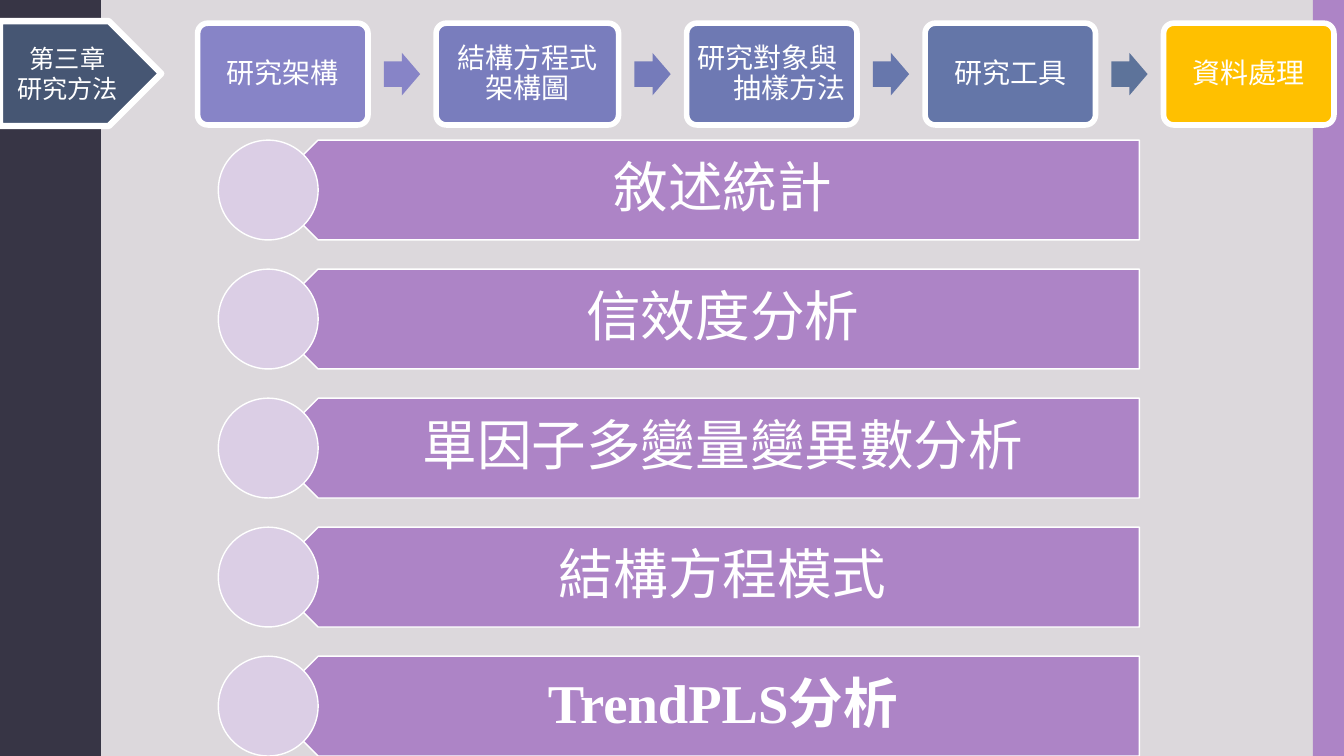
from lxml import etree
from pptx import Presentation
from pptx.dml.color import RGBColor
from pptx.enum.shapes import MSO_SHAPE
from pptx.enum.text import MSO_ANCHOR, PP_ALIGN
from pptx.oxml.ns import qn
from pptx.util import Inches, Pt

PENTAGON, RECT, ELLIPSE = MSO_SHAPE.PENTAGON, MSO_SHAPE.RECTANGLE, MSO_SHAPE.OVAL
ROUNDED, ARROW = MSO_SHAPE.ROUNDED_RECTANGLE, MSO_SHAPE.RIGHT_ARROW
LEFT, CENTER, RIGHT = PP_ALIGN.LEFT, PP_ALIGN.CENTER, PP_ALIGN.RIGHT
MIDDLE = MSO_ANCHOR.MIDDLE

WHITE = RGBColor(0xFF, 0xFF, 0xFF)
BACKGROUND = RGBColor(0xDC, 0xD8, 0xDC)
DARK = RGBColor(0x37, 0x35, 0x45)
PURPLE = RGBColor(0xAD, 0x84, 0xC6)
PALE_PURPLE = RGBColor(0xDB, 0xCE, 0xE5)
SLATE = RGBColor(0x46, 0x56, 0x73)
CJK, SERIF = "Noto Sans CJK SC", "Times New Roman"

# Paragraphs are (alignment, runs); runs are (text, font, bold).
CHAPTER = [(CENTER, [("第三章", CJK, False)]), (CENTER, [("研究方法", CJK, False)])]

# Step: paragraphs, width, box colour, colour of the arrow that follows
STEPS = [
    ([(CENTER, [("研究架構", CJK, False)])], 1.69, "8784C7", "8784C7"),
    ([(CENTER, [("結構方程式架構圖", CJK, False)])], 1.81, "797DBD", "757BBA"),
    ([(LEFT, [("研究對象與", CJK, False)]), (RIGHT, [("抽樣方法", CJK, False)])],
     1.69, "6E79B3", "6777AC"),
    ([(CENTER, [("研究工具", CJK, False)])], 1.69, "6476A8", "5D739A"),
    ([(CENTER, [("資料處理", CJK, False)])], 1.69, "FFC000", None),
]
ANALYSES = [
    [("敘述統計", CJK, False)],
    [("信效度分析", CJK, False)],
    [("單因子多變量變異數分析", CJK, False)],
    [("結構方程模式", CJK, False)],
    [("TrendPLS", SERIF, True), ("分析", CJK, True)],
]

# Rising half of one wave on the left edge, as (x, y)
WAVE_RISE = [(0.78, 0), (0.78, 0.07), (0.79, 0.14), (0.8, 0.2), (0.81, 0.25),
             (0.83, 0.29), (0.85, 0.33), (0.87, 0.38), (0.89, 0.42), (0.91, 0.46),
             (0.93, 0.5), (0.95, 0.55), (0.96, 0.61), (0.97, 0.68), (0.97, 0.75)]
WAVE_LENGTH, WAVE_COUNT = 1.5, 5

SLIDE_W, SLIDE_H = 13.33, 7.5
STEPS_LEFT, STEPS_RIGHT, STEP_TOP, STEP_H = 1.96, 13.23, 0.23, 1.01
ARROW_W, ARROW_H = 0.36, 0.42
BAR_LEFT, BAR_W, BAR_TOP, BAR_H, BAR_PITCH = 2.66, 8.64, 1.39, 0.99, 1.28

prs = Presentation()
prs.slide_width, prs.slide_height = Inches(SLIDE_W), Inches(SLIDE_H)
slide = prs.slides.add_slide(prs.slide_layouts[6])
slide.background.fill.solid()
slide.background.fill.fore_color.rgb = BACKGROUND


def paint(shape, color, line_width=0):
    shape.shadow.inherit = False
    shape.fill.solid()
    shape.fill.fore_color.rgb = color
    if line_width:
        shape.line.color.rgb = WHITE
        shape.line.width = Pt(line_width)
    else:
        shape.line.fill.background()


def add_block(kind, left, top, width, height, color, line_width=0):
    block = slide.shapes.add_shape(
        kind, Inches(left), Inches(top), Inches(width), Inches(height))
    paint(block, color, line_width)
    return block


def write(shape, paragraphs, size, insets=None, line_spacing=1.0):
    """Fill a shape with white text; insets are left, top, right, bottom."""
    frame = shape.text_frame
    frame.word_wrap = True
    frame.vertical_anchor = MIDDLE
    if insets:
        for side, inset in zip(("left", "top", "right", "bottom"), insets):
            setattr(frame, f"margin_{side}", Inches(inset))
    for i, (alignment, runs) in enumerate(paragraphs):
        paragraph = frame.add_paragraph() if i else frame.paragraphs[0]
        paragraph.alignment = alignment
        paragraph.line_spacing = line_spacing
        for text, typeface, bold in runs:
            run = paragraph.add_run()
            run.text = text
            font_format = {"name": typeface, "size": Pt(size), "bold": bold}
            for key, value in font_format.items():
                setattr(run.font, key, value)
            run.font.color.rgb = WHITE
            east_asian = etree.SubElement(run.font._element, qn("a:ea"))
            east_asian.set("typeface", typeface)


def add_wavy_edge():
    wave_fall = [(x, WAVE_LENGTH - y) for x, y in WAVE_RISE[-2::-1]]
    wave = WAVE_RISE + wave_fall[:-1]
    edge = [(x, y + n * WAVE_LENGTH) for n in range(WAVE_COUNT) for x, y in wave]
    edge += [(WAVE_RISE[0][0], SLIDE_H), (0, SLIDE_H)]
    builder = slide.shapes.build_freeform(0, 0, scale=Inches(1))
    builder.add_line_segments(edge, close=True)
    paint(builder.convert_to_shape(), DARK)


def add_steps():
    gap = (STEPS_RIGHT - STEPS_LEFT - sum(step[1] for step in STEPS)) / (len(STEPS) - 1)
    arrow_top = STEP_TOP + (STEP_H - ARROW_H) / 2
    left = STEPS_LEFT
    for paragraphs, width, color, arrow_color in STEPS:
        step = add_block(ROUNDED, left, STEP_TOP, width, STEP_H,
                         RGBColor.from_string(color), 4)
        step.adjustments[0] = 0.1
        write(step, paragraphs, 20, (0.08,) * 4, 0.9)
        left += width
        if arrow_color:
            arrow = add_block(ARROW, left + (gap - ARROW_W) / 2, arrow_top,
                              ARROW_W, ARROW_H, RGBColor.from_string(arrow_color))
            arrow.adjustments[0] = 0.6
        left += gap


def add_analyses():
    label_left = BAR_LEFT + BAR_H / 4
    for i, runs in enumerate(ANALYSES):
        top = BAR_TOP + i * BAR_PITCH
        bar = add_block(PENTAGON, BAR_LEFT, top, BAR_W, BAR_H, PURPLE, 1)
        bar.rotation = 180
        label = slide.shapes.add_textbox(
            Inches(label_left), Inches(top),
            Inches(BAR_LEFT + BAR_W - label_left), Inches(BAR_H))
        write(label, [(CENTER, runs)], 39, (0.43, 0.16, 0.3, 0.16), 0.9)
        add_block(ELLIPSE, BAR_LEFT - BAR_H / 2, top, BAR_H, BAR_H, PALE_PURPLE, 1)


add_wavy_edge()
add_block(RECT, 13.02, 0, 0.31, SLIDE_H, PURPLE)
write(add_block(PENTAGON, 0, 0.21, 1.6, 1.04, SLATE, 4.5), CHAPTER, 18)
add_steps()
add_analyses()
prs.save("out.pptx")
